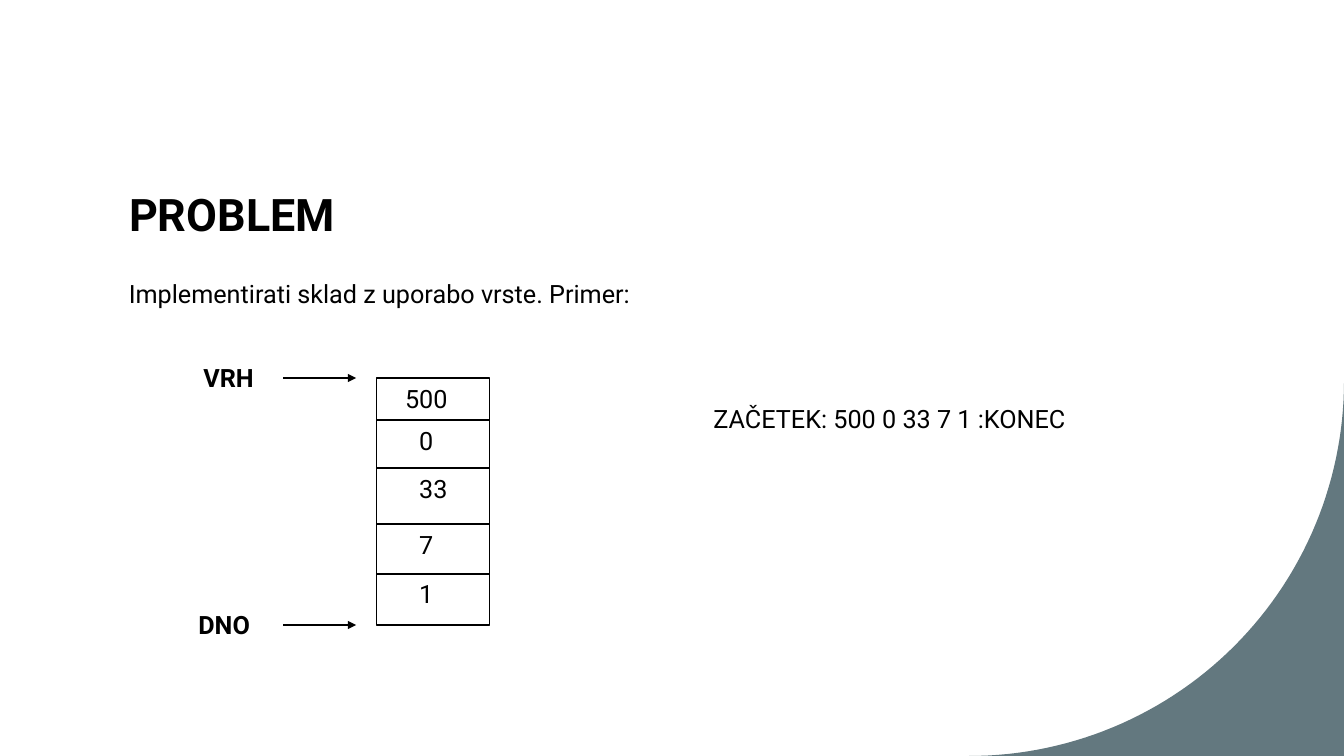
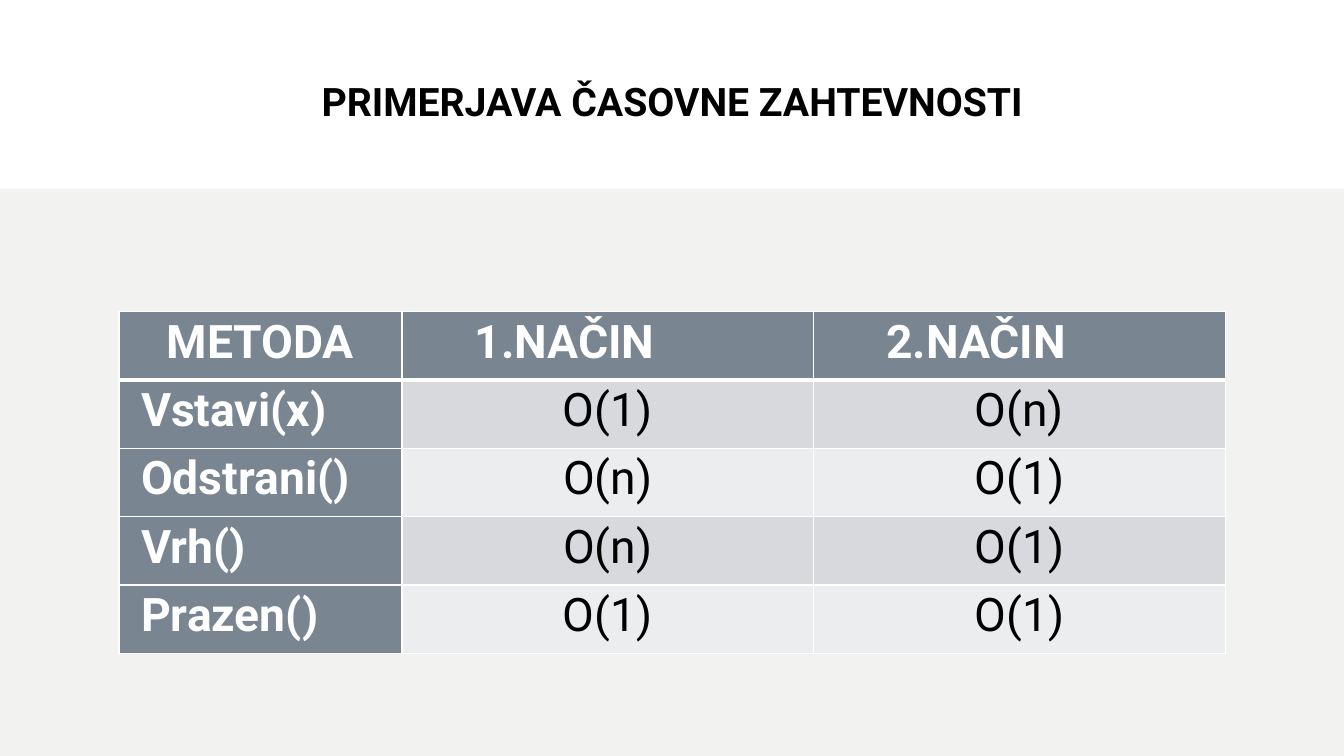
from math import cos, pi, sin

from lxml import etree
from pptx import Presentation
from pptx.dml.color import RGBColor
from pptx.enum.shapes import MSO_CONNECTOR, MSO_SHAPE
from pptx.enum.text import MSO_ANCHOR, MSO_AUTO_SIZE, PP_ALIGN
from pptx.oxml.ns import qn
from pptx.util import Inches, Pt

LEFT, CENTER = PP_ALIGN.LEFT, PP_ALIGN.CENTER
BOTTOM, MIDDLE = MSO_ANCHOR.BOTTOM, MSO_ANCHOR.MIDDLE
NO_FIT = MSO_AUTO_SIZE.NONE
STRAIGHT, RECT = MSO_CONNECTOR.STRAIGHT, MSO_SHAPE.RECTANGLE

BLACK = RGBColor(0x00, 0x00, 0x00)
WHITE = RGBColor(0xFF, 0xFF, 0xFF)
TEAL = RGBColor(0x63, 0x78, 0x7F)
PALE = RGBColor(0xF2, 0xF3, 0xF1)
HEAD = RGBColor(0x7A, 0x85, 0x92)
STRIPES = (RGBColor(0xD7, 0xD9, 0xDC), RGBColor(0xEC, 0xED, 0xEE))
FONT = "Roboto"

prs = Presentation()
prs.slide_width, prs.slide_height = Inches(13.333), Inches(7.5)
COLS, ROWS = 160, 90
U = prs.slide_height / ROWS
MARGIN = 14.16


def grid(*units):
    return [round(n * U) for n in units]


def write(p, text, size, color=BLACK, bold=False, align=LEFT):
    p.alignment = align
    r = p.add_run()
    r.text = text
    r.font.name, r.font.size = FONT, Pt(size)
    r.font.bold, r.font.color.rgb = bold, color
    return p


titles = [
    ("PROBLEM", 32, LEFT, BOTTOM, (MARGIN, 9.48, 130.6, 19.8)),
    ("PRIMERJAVA ČASOVNE ZAHTEVNOSTI", 28, CENTER, MIDDLE, (MARGIN, 5.9, 131.7, 11.6)),
]
slides = []
for text, size, align, anchor, place in titles:
    s = prs.slides.add_slide(prs.slide_layouts[5])
    sp = s.shapes.title
    sp.left, sp.top, sp.width, sp.height = grid(*place)
    tf = sp.text_frame
    tf.word_wrap, tf.auto_size, tf.vertical_anchor = True, NO_FIT, anchor
    write(tf.paragraphs[0], text, size, bold=True, align=align).line_spacing = 1.1
    slides.append(s)
problem, comparison = slides

radius, steps = 44.64, 60
arc = [
    grid(COLS - radius + radius * cos(a), ROWS - radius + radius * sin(a))
    for a in (pi / 2 * i / steps for i in range(steps + 1))
]
fb = problem.shapes.build_freeform(*arc[0], scale=1.0)
fb.add_line_segments(arc[1:] + [grid(COLS, ROWS)], close=True)
corner = fb.convert_to_shape()

stack_left, stack_width = 44.8, 13.5
edges = [45, 50, 55.7, 62.4, 68.3, 74.4]
top, bottom = edges[0], edges[-1]
stack = problem.shapes.add_shape(RECT, *grid(stack_left, top, stack_width, bottom - top))
band_top = 22.45
band = comparison.shapes.add_shape(RECT, *grid(0, band_top, COLS, ROWS - band_top))
for sp, fill in ((corner, TEAL), (stack, WHITE), (band, PALE)):
    sp.shadow.inherit = False
    sp.fill.solid()
    sp.fill.fore_color.rgb = fill
    sp.line.fill.background()
stack.line.color.rgb, stack.line.width = BLACK, Pt(1)

arrow_left, arrow_right = 33.7, 42.4
lines = [(stack_left, stack_left + stack_width, y, False) for y in edges[1:-1]]
lines += [(arrow_left, arrow_right, y, True) for y in (top, bottom)]
for x1, x2, y, arrow in lines:
    c = problem.shapes.add_connector(STRAIGHT, *grid(x1, y, x2, y))
    c.line.color.rgb, c.line.width = BLACK, Pt(1.5)
    if arrow:
        ln = c.line._get_or_add_ln()
        etree.SubElement(ln, qn("a:tailEnd"), type="triangle")
    etree.SubElement(c._element.spPr, qn("a:effectLst"))

values = ["500", "0", "33", "7", "1"]
texts = [
    (v, 47.04 if len(v) == 3 else 48.72, y, 7.7 if len(v) == 3 else 6, False)
    for v, y in zip(values, edges)
]
texts += [
    ("VRH", 23.04, top - 2.4, 15.4, True),
    ("DNO", 22.44, bottom - 2.4, 15.4, True),
    ("ZAČETEK: 500 0 33 7 1 :KONEC", 83.76, 47.4, 62.6, False),
    ("Implementirati sklad z uporabo vrste. Primer:", MARGIN, 31.8, 130.6, False),
]
for text, x, y, width, bold in texts:
    tf = problem.shapes.add_textbox(*grid(x, y, width, 4.8)).text_frame
    tf.word_wrap = True
    p = write(tf.paragraphs[0], text, 18, bold=bold)
p.line_spacing, p.space_before = 1.2, Pt(10)

rows = [
    ("METODA", "1.NAČIN", "2.NAČIN"),
    ("Vstavi(x)", "O(1)", "O(n)"),
    ("Odstrani()", "O(n)", "O(1)"),
    ("Vrh()", "O(n)", "O(1)"),
    ("Prazen()", "O(1)", "O(1)"),
]
widths, row_height = grid(33.7, 49, 49), 8.14
place = grid(MARGIN, 37.1, 131.7, row_height * len(rows))
table = comparison.shapes.add_table(len(rows), len(widths), *place).table
for column, width in zip(table.columns, widths):
    column.width = width
for i, row in enumerate(rows):
    table.rows[i].height = grid(row_height)[0]
    for j, text in enumerate(row):
        cell = table.cell(i, j)
        cell.margin_left = cell.margin_right = Inches(0.22)
        cell.margin_top = cell.margin_bottom = 0
        head = i == 0 or j == 0
        centered = (i == 0) == (j == 0)
        p = write(cell.text_frame.paragraphs[0], text, 33, WHITE if head else BLACK,
                  head, CENTER if centered else LEFT)
        p.line_spacing, p.space_after = 1.07, Pt(8)
        if i == 0 and j > 0:
            p._p.get_or_add_pPr().set("marL", str(Inches(0.5)))
        tcPr = cell._tc.get_or_add_tcPr()
        for side in "LRTB":
            thick = (i, side) in ((0, "B"), (1, "T"))
            ln = etree.SubElement(tcPr, qn("a:ln" + side), w=str(Pt(3 if thick else 1)))
            fill = etree.SubElement(ln, qn("a:solidFill"))
            etree.SubElement(fill, qn("a:srgbClr"), val=str(WHITE))
        cell.fill.solid()
        cell.fill.fore_color.rgb = HEAD if head else STRIPES[(i - 1) % 2]

prs.save("out.pptx")
